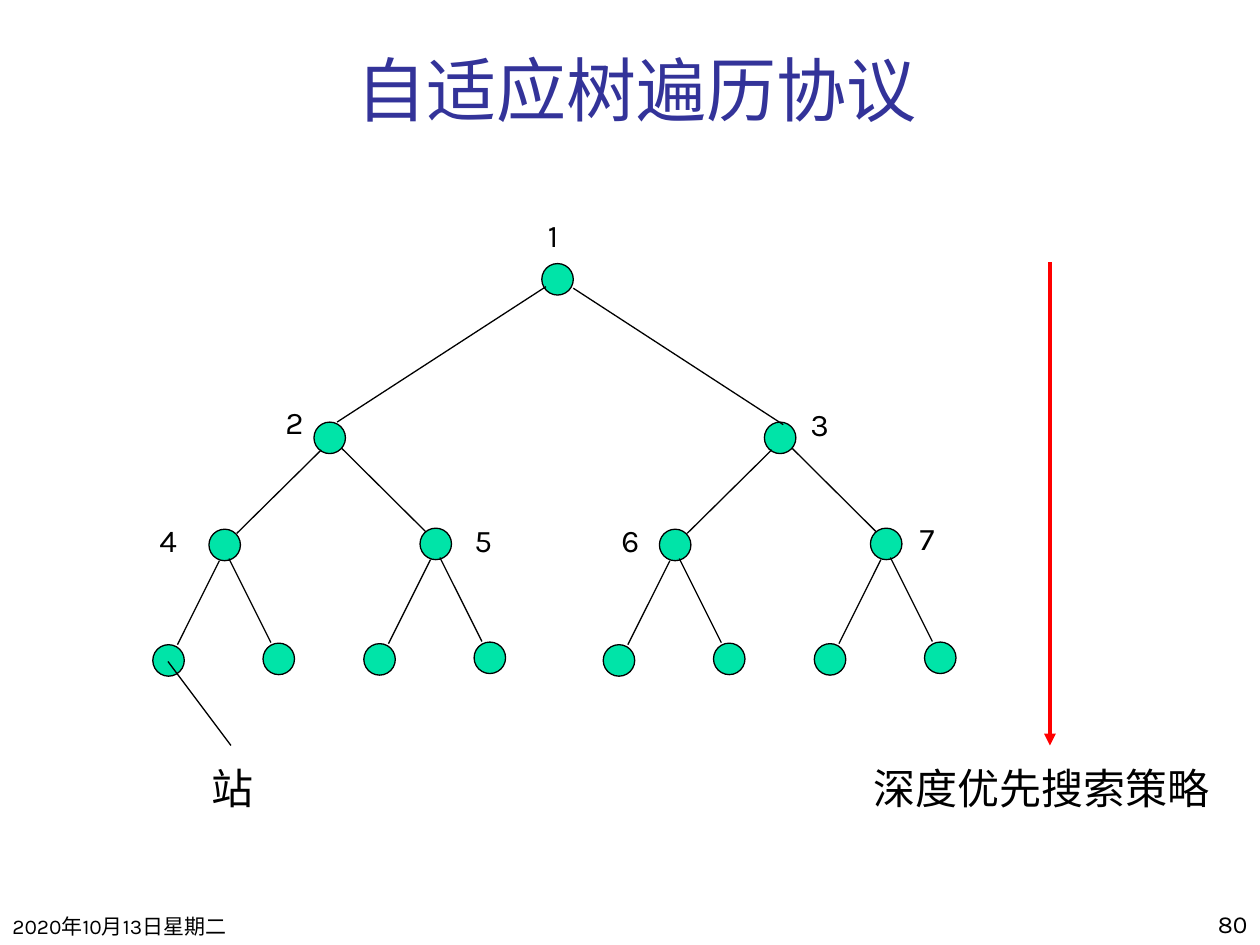
from dataclasses import dataclass

from lxml import etree
from pptx import Presentation
from pptx import util as u
from pptx.dml.color import RGBColor
from pptx.enum import shapes, text
from pptx.oxml import ns


@dataclass(frozen=True)
class Theme:
    font: str = "Karla"
    ink: str = "000000"
    title: str = "333399"
    node: str = "00E4A8"
    arrow: str = "FF0000"
    title_size: int = 40
    caption_size: int = 24
    label_size: int = 18
    number_size: int = 14
    date_size: int = 12
    thin: float = 0.75
    thick: float = 2.25


THEME = Theme()
COLUMNS, ROWS = 120, 90
NODE = 3
TITLE = "自适应树遍历协议"
DATE = "2020年10月13日星期二"
PAGE_NUMBER = "80"
ROOT = (51.6, 25.1)
# Each branch: child offset, edge start, edge end, all measured from the parent.
LEVELS = [
    [((-21.7, 15.1), (0.4, 2.2), (-19.5, 15.1)),
     ((21.2, 15.1), (3, 2.35), (23, 15.35))],
    [((-10, 10.2), (0.7, 2.65), (-7.35, 10.6)),
     ((10.1, 10.1), (2.65, 2.5), (10.65, 10.45))],
    [((-5.35, 11), (1, 3), (-3, 11)),
     ((5.15, 10.85), (1.9, 2.8), (5.9, 10.8))],
]
LABELS = [("1", 51, 20), ("2", 26, 37.8), ("3", 76, 38), ("4", 14, 49),
          ("5", 44, 49), ("6", 58, 49), ("7", 86.4, 48.8)]
CAPTIONS = [("深度优先搜索策略", (82, 72, 36, 6)), ("站", (19, 72, 18, 6))]
STATION_LINE = ((16, 63), (22, 71))
STRATEGY_ARROW = ((100, 25), (100, 71))

deck = Presentation()
deck.slide_width, deck.slide_height = u.Inches(10), u.Inches(7.5)
page = deck.slides.add_slide(deck.slide_layouts[5])


def place(columns, rows):
    return (round(deck.slide_width * columns / COLUMNS),
            round(deck.slide_height * rows / ROWS))


def shift(point, offset):
    return point[0] + offset[0], point[1] + offset[1]


def write(words, area, size, color=THEME.ink, align=text.PP_ALIGN.LEFT,
          anchor=text.MSO_ANCHOR.TOP, box=None):
    left_top, extent = place(*area[:2]), place(*area[2:])
    if box is None:
        box = page.shapes.add_textbox(*left_top, *extent)
    box.left, box.top = left_top
    box.width, box.height = extent
    frame = box.text_frame
    frame.word_wrap = True
    frame.auto_size = text.MSO_AUTO_SIZE.NONE
    frame.vertical_anchor = anchor
    para = frame.paragraphs[0]
    para.alignment = align
    span = para.add_run()
    span.text = words
    span.font.name = THEME.font
    span.font.size = u.Pt(size)
    span.font.color.rgb = RGBColor.from_string(color)


def draw_line(start, end, color=THEME.ink, width=THEME.thin, arrow=False):
    line = page.shapes.add_connector(
        shapes.MSO_CONNECTOR.STRAIGHT, *place(*start), *place(*end))
    line.line.color.rgb = RGBColor.from_string(color)
    line.line.width = u.Pt(width)
    if arrow:
        tail = etree.SubElement(line.line._get_or_add_ln(), ns.qn("a:tailEnd"))
        tail.set("type", "triangle")
    etree.SubElement(line._element.spPr, ns.qn("a:effectLst"))


def draw_node(point):
    node = page.shapes.add_shape(
        shapes.MSO_SHAPE.OVAL, *place(*point), *place(NODE, NODE))
    node.shadow.inherit = False
    node.fill.solid()
    node.fill.fore_color.rgb = RGBColor.from_string(THEME.node)
    node.line.color.rgb = RGBColor.from_string(THEME.ink)
    node.line.width = u.Pt(THEME.thin)


def draw_tree(point, levels):
    draw_node(point)
    if levels:
        for child, start, end in levels[0]:
            draw_tree(shift(point, child), levels[1:])
            draw_line(shift(point, start), shift(point, end))


write(TITLE, (10, 3, 101.2, 10), THEME.title_size, color=THEME.title,
      align=text.PP_ALIGN.CENTER, anchor=text.MSO_ANCHOR.BOTTOM,
      box=page.shapes.title)
write(DATE, (0, 84, 25, 6), THEME.date_size, anchor=text.MSO_ANCHOR.BOTTOM)
write(PAGE_NUMBER, (95, 84, 25, 6), THEME.number_size,
      align=text.PP_ALIGN.RIGHT, anchor=text.MSO_ANCHOR.BOTTOM)
draw_tree(ROOT, LEVELS)
for number, column, row in LABELS:
    write(number, (column, row, 5, 4.8), THEME.label_size)
draw_line(*STRATEGY_ARROW, color=THEME.arrow, width=THEME.thick, arrow=True)
draw_line(*STATION_LINE)
for words, area in CAPTIONS:
    write(words, area, THEME.caption_size)

deck.save("out.pptx")
